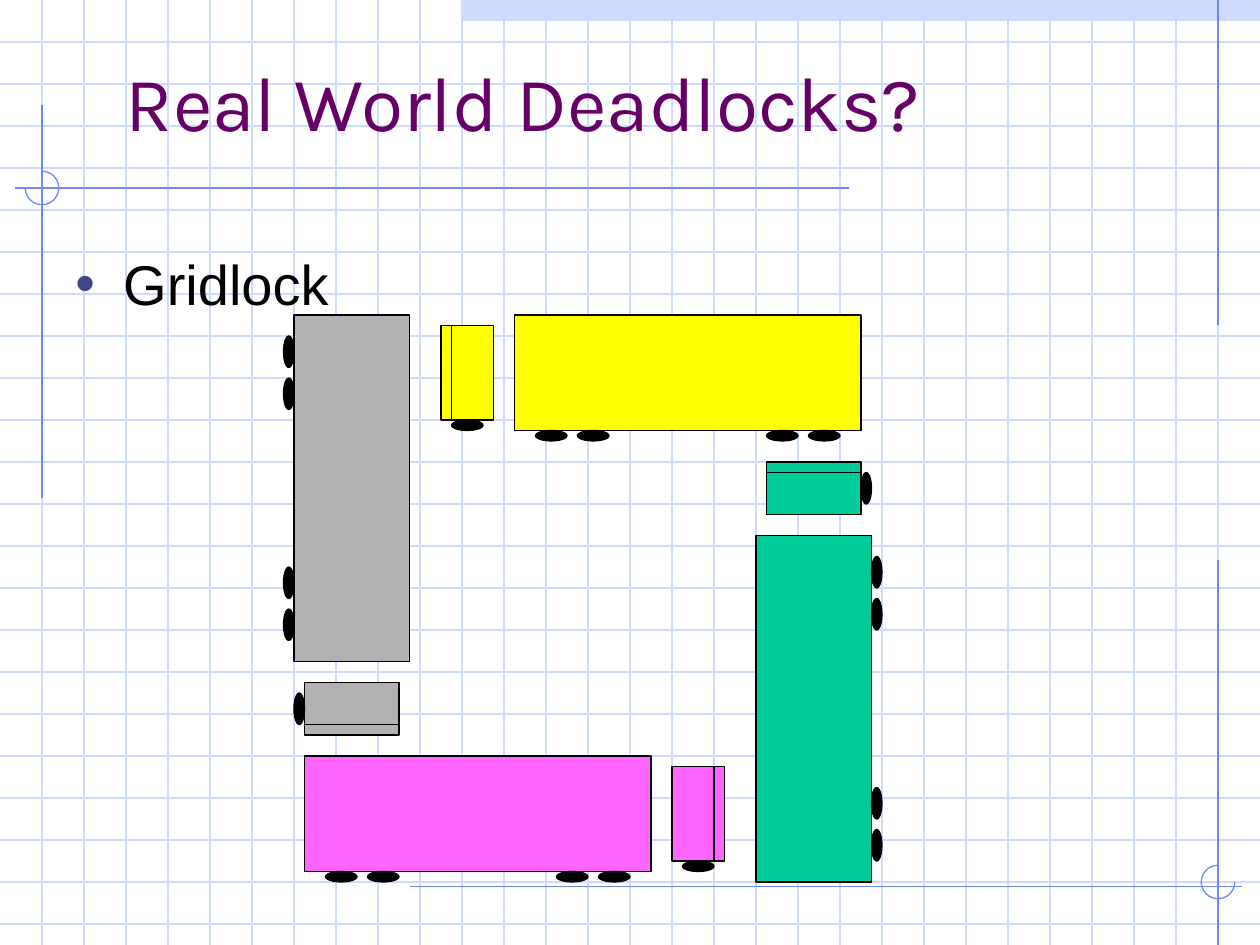
from lxml.etree import SubElement
from pptx import Presentation
from pptx.dml.color import RGBColor
from pptx.enum.shapes import MSO_CONNECTOR, MSO_SHAPE
from pptx.enum.text import MSO_ANCHOR
from pptx.oxml.ns import qn
from pptx.util import Emu, Inches, Pt

# The page is a grid of 120 columns by 90 rows, twelve to the inch.
COLUMNS, ROWS, RULING = 120, 90, 4
CELL = Inches(1) / 12

PALE_BLUE = RGBColor(0xCF, 0xDB, 0xFD)
BLUE = RGBColor(0x6F, 0x89, 0xF7)
INDIGO = RGBColor(0x40, 0x45, 0x8C)
PURPLE = RGBColor(0x66, 0x00, 0x66)
BLACK = RGBColor(0x00, 0x00, 0x00)
YELLOW = RGBColor(0xFF, 0xFF, 0x00)
PINK = RGBColor(0xFF, 0x66, 0xFF)
GRAY = RGBColor(0xB2, 0xB2, 0xB2)
GREEN = RGBColor(0x00, 0xCC, 0x99)

TITLE_FONT = {"name": "Karla", "size": Pt(44)}
BODY_FONT = {"name": "Arial", "size": Pt(32)}
NO_INSETS = {"margin_left": 0, "margin_right": 0, "margin_top": 0, "margin_bottom": 0,
             "vertical_anchor": MSO_ANCHOR.MIDDLE}

# Truck parts as (along, across, length, depth), measured from the nose and the roof.
TRUCK_BODY = [(7, 0, 33, 11), (1, 1, 4, 9), (0, 1, 1, 9)]
TRUCK_WHEELS = [(1, 10, 3, 1)] + [(along, 11, 3, 1) for along in (9, 13, 31, 35)]
TRUCK_LENGTH, TRUCK_DEPTH = 40, 12


def cells(*counts):
    return [Emu(round(count * CELL)) for count in counts]


def set_format(target, values):
    for name, value in values.items():
        setattr(target, name, value)


def add_part(page, kind, box, fill=None, outline=None, angle=0):
    shape = page.shapes.add_shape(kind, *cells(*box))
    shape.shadow.inherit = False
    shape.rotation = angle
    if fill is None:
        shape.fill.background()
    else:
        shape.fill.solid()
        shape.fill.fore_color.rgb = fill
    if outline is None:
        shape.line.fill.background()
    else:
        shape.line.color.rgb = outline
        shape.line.width = Pt(0.75)
    return shape


def add_rule(page, ends, color):
    rule = page.shapes.add_connector(MSO_CONNECTOR.STRAIGHT, *cells(*ends))
    rule.line.color.rgb = color
    rule.line.width = Pt(0.75)
    SubElement(rule._element.spPr, qn("a:effectLst"))


def draw_graph_paper(page, box):
    left, top, width, height = box
    add_part(page, MSO_SHAPE.RECTANGLE, (left + 44, top, width - 44, 2), PALE_BLUE)
    for row in range(top + RULING, top + height, RULING):
        add_rule(page, (left, row, left + width, row), PALE_BLUE)
    for column in range(left + RULING, left + width, RULING):
        add_rule(page, (column, top, column, top + height), PALE_BLUE)


def draw_guides(page, box):
    """Draw the long blue guides and the open circle where each pair crosses."""
    left, top, width, height = box
    near, far = left + 4, left + width - 4
    upper, lower = top + 17.9, top + height - 5.6
    add_rule(page, (far, top, far, top + 31), BLUE)
    add_rule(page, (near, top + 10, near, top + 47.4), BLUE)
    add_rule(page, (left + 80.9, upper, left + 1.4, upper), BLUE)
    add_rule(page, (left + 39, lower, left + 118.3, lower), BLUE)
    add_rule(page, (far, top + 53.3, far, top + height), BLUE)
    # Arc angles run clockwise from the right, in hundred-thousandths of 1/60000 degree.
    for x, y, start, end in ((near, upper, 270, 180), (far, lower - 0.4, 0, 270)):
        arc = add_part(page, MSO_SHAPE.ARC, (x - 1.6, y - 1.6, 3.2, 3.2), outline=BLUE)
        arc.adjustments[0] = start * 0.6
        arc.adjustments[1] = end * 0.6


def add_text(page, box, text, font, color, line_spacing, frame_format):
    frame = page.shapes.add_textbox(*cells(*box)).text_frame
    set_format(frame, {"word_wrap": True, **frame_format})
    para = frame.paragraphs[0]
    para.line_spacing = line_spacing
    span = para.add_run()
    span.text = text
    set_format(span.font, font)
    span.font.color.rgb = color
    return para


def add_bullet(para, color):
    props = para._p.get_or_add_pPr()
    indent = Inches(0.38)
    props.set("marL", str(indent))
    props.set("indent", str(-indent))
    before = SubElement(props, qn("a:spcBef"))
    SubElement(before, qn("a:spcPct"), val="20000")
    bullet_color = SubElement(props, qn("a:buClr"))
    SubElement(bullet_color, qn("a:srgbClr"), val=str(color))
    SubElement(props, qn("a:buFont"), typeface="Arial")
    SubElement(props, qn("a:buChar"), char="•")


def draw_truck(page, corner, color, angle=0, nose_last=False, wheels_first=False):
    """Draw a truck with its box at corner; a quarter turn stands it upright."""
    parts = [(MSO_SHAPE.RECTANGLE, color, part) for part in TRUCK_BODY]
    parts += [(MSO_SHAPE.OVAL, BLACK, part) for part in TRUCK_WHEELS]
    for kind, fill, (along, across, length, depth) in parts:
        x, y = along + length / 2, across + depth / 2
        if nose_last:
            x = TRUCK_LENGTH - x
        if wheels_first:
            y = TRUCK_DEPTH - y
        if angle:
            x, y = y, x
        box = (corner[0] + x - length / 2, corner[1] + y - depth / 2, length, depth)
        add_part(page, kind, box, fill, BLACK, angle)


def draw_gridlock(page, box):
    left, top, width, height = box
    draw_truck(page, (left + 15, top), YELLOW)
    draw_truck(page, (left + 2, top + height - TRUCK_DEPTH), PINK, nose_last=True)
    draw_truck(page, (left, top), GRAY, 90, nose_last=True, wheels_first=True)
    draw_truck(page, (left + width - TRUCK_DEPTH, top + 14), GREEN, 270)


def main():
    deck = Presentation()
    deck.slide_width, deck.slide_height = cells(COLUMNS, ROWS)
    page = deck.slides.add_slide(deck.slide_layouts[6])
    whole = (0, 0, COLUMNS, ROWS)
    draw_graph_paper(page, whole)
    draw_guides(page, whole)
    add_text(page, (12, 0, 102, 18.8), "Real World Deadlocks?",
             TITLE_FONT, PURPLE, 1.04, NO_INSETS)
    gridlock = add_text(page, (6, 21, 108, 59.4), "Gridlock", BODY_FONT, BLACK, 1.34, {})
    add_bullet(gridlock, INDIGO)
    draw_gridlock(page, (27, 30, 57, 54))
    deck.save("out.pptx")


if __name__ == "__main__":
    main()
